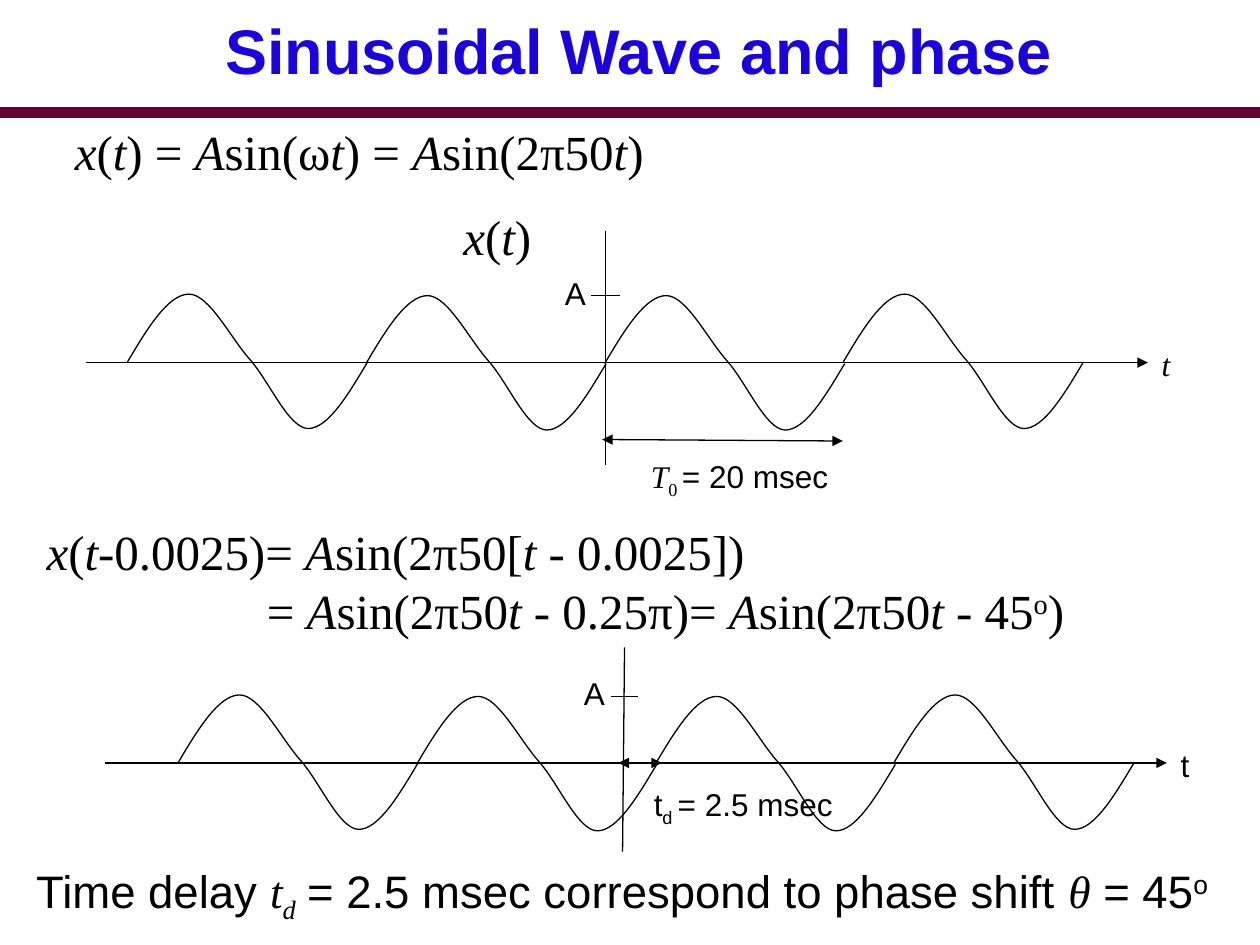
"""Build a slide relating the time delay of a sinusoidal wave to its phase shift."""
from lxml import etree
from pptx import Presentation
from pptx import util as u
from pptx.dml.color import RGBColor
from pptx.enum import shapes, text
from pptx.oxml.ns import qn

ARIAL, TIMES = "Arial", "Times New Roman"
BLACK, BLUE, MAROON = "000000", "1C03D7", "660033"

ITALIC = {"italic": True}
VARIABLE = {"italic": True, "name": TIMES}
SUB = {"baseline": -25000}
SUPER = {"baseline": 30000}

TITLE = ("Sinusoidal Wave and phase", (2.62, 0, 20.52, 1.88))
X, A, T = ("x", ITALIC), ("A", ITALIC), ("t", ITALIC)
T_SPACE = ("t ", ITALIC)

TEXTS = [
    ((1.26, 2.32, 12.24, 1.45), 28, TIMES, [
        [X, "(", T, ") = ", A, "sin(ω", T, ") = ", A, "sin(2π50", T, ")"]]),
    ((9.09, 4.03, 1.93, 1.45), 28, TIMES, [[X, "(", T, ")"]]),
    ((11.14, 5.39, 0.94, 1.02), 18, ARIAL, [["A"]]),
    ((23.17, 6.83, 0.69, 1.02), 18, TIMES, [[T]]),
    ((12.87, 9.09, 4.19, 1.02), 18, TIMES, [
        [("T", ITALIC), ("0 ", SUB), ("= 20 msec", {"name": ARIAL})]]),
    ((11.52, 13.46, 0.94, 1.02), 18, ARIAL, [["A"]]),
    ((23.55, 14.91, 0.69, 1.02), 18, ARIAL, [["t"]]),
    ((12.93, 15.7, 4.17, 1.02), 18, ARIAL, [
        ["t", ("d ", SUB), "= 2.5 msec"]]),
    ((0.69, 10.39, 21.44, 2.64), 28, TIMES, [
        [X, "(", T, "-0.0025)= ", A, "sin(2π50[", T_SPACE, "- 0.0025])"],
        ["= ", A, "sin(2π50", T_SPACE, "- 0.25π)= ", A, "sin(2π50", T_SPACE,
         "- 45", ("o", SUPER), ")"]]),
    ((0.48, 17.27, 24.54, 1.37), 26, ARIAL, [
        ["Time delay ", ("t", VARIABLE), ("d", {**VARIABLE, **SUB}), (" ", VARIABLE),
         "= 2.5 msec correspond to phase shift ", ("θ", VARIABLE),
         " = 45", ("o", SUPER)]]),
]
CONTINUATION_INDENT = 4.44

LINES = [
    ((12.21, 4.65), (12.21, 9.37), ()),
    ((1.73, 7.31), (22.66, 7.31), ()),
    ((12.49, 5.96), (11.91, 5.96), ()),
    ((22.12, 7.31), (23.14, 7.31), ("tailEnd",)),
    ((16.99, 8.89), (12.14, 8.86), ("headEnd", "tailEnd")),
    ((12.59, 13.05), (12.55, 17.17), ()),
    ((2.11, 15.38), (23.04, 15.38), ()),
    ((12.87, 14.04), (12.32, 14.04), ()),
    ((22.5, 15.38), (23.52, 15.38), ("tailEnd",)),
    ((13.34, 15.38), (12.47, 15.38), ("headEnd", "tailEnd")),
]

WAVE_STARTS = [(2.57, 7.3), (3.59, 15.38)]
PERIOD = 4.81
PERIOD_DROPS = [0, 0.03, 0.03, 0]
CYCLE = [
    (0, 0), (0.41, -0.7), (0.83, -1.37), (1.24, -1.37), (1.65, -1.37),
    (2.08, -0.48), (2.48, -0.04), (2.87, 0.41), (3.25, 1.33), (3.64, 1.34),
    (4.04, 1.34), (4.44, 0.67), (4.84, 0),
]


def color(value):
    return RGBColor.from_string(value)


def add_line(slide, begin, end, arrows=(), fill=BLACK, width=0.75):
    connector = slide.shapes.add_connector(
        shapes.MSO_CONNECTOR.STRAIGHT, *(u.Cm(value) for value in begin + end))
    connector.line.color.rgb = color(fill)
    connector.line.width = u.Pt(width)
    properties = connector._element.spPr
    for arrow in arrows:
        etree.SubElement(properties.find(qn("a:ln")), qn("a:" + arrow), type="triangle")
    etree.SubElement(properties, qn("a:effectLst"))


def curve_segments(shape):
    outline = shape._element.spPr.find(".//" + qn("a:path"))
    segments = outline.findall(qn("a:lnTo"))
    for first in range(0, len(segments), 3):
        curve = etree.SubElement(outline, qn("a:cubicBezTo"))
        for segment in segments[first:first + 3]:
            curve.append(segment[0])
            outline.remove(segment)


def add_cycle(slide, left, middle):
    start, *points = [(u.Cm(left + x), u.Cm(middle + y)) for x, y in CYCLE]
    builder = slide.shapes.build_freeform(*start)
    builder.add_line_segments(points, close=False)
    shape = builder.convert_to_shape()
    curve_segments(shape)
    shape.shadow.inherit = False
    shape.fill.background()
    shape.line.color.rgb = color(BLACK)
    shape.line.width = u.Pt(0.75)


def add_box(slide, box):
    return slide.shapes.add_textbox(*(u.Cm(value) for value in box)).text_frame


def set_font(font, size, name, fill):
    font.size, font.name = u.Pt(size), name
    font.color.rgb = color(fill)


def add_run(paragraph, part, size, name):
    words, style = (part, {}) if isinstance(part, str) else part
    run = paragraph.add_run()
    run.text = words
    set_font(run.font, size, style.get("name", name), BLACK)
    run.font.italic = style.get("italic", False)
    if "baseline" in style:
        run._r.get_or_add_rPr().set("baseline", str(style["baseline"]))


def add_text(slide, box, size, name, lines):
    frame = add_box(slide, box)
    frame.word_wrap = False
    for index, parts in enumerate(lines):
        paragraph = frame.add_paragraph() if index else frame.paragraphs[0]
        if index:
            paragraph._p.get_or_add_pPr().set("marL", str(u.Cm(CONTINUATION_INDENT)))
        for part in parts:
            add_run(paragraph, part, size, name)


def add_title(slide, words, box):
    frame = add_box(slide, box)
    frame.word_wrap = True
    frame.vertical_anchor = text.MSO_ANCHOR.BOTTOM
    paragraph = frame.paragraphs[0]
    paragraph.text = words
    paragraph.alignment = text.PP_ALIGN.CENTER
    set_font(paragraph.font, 36, ARIAL, BLUE)
    paragraph.font.bold = True


def main():
    presentation = Presentation()
    presentation.slide_width, presentation.slide_height = u.Cm(25.4), u.Cm(19.05)
    slide = presentation.slides.add_slide(presentation.slide_layouts[6])
    add_line(slide, (0, 2.27), (25.4, 2.27), fill=MAROON, width=6)
    add_title(slide, *TITLE)
    for line in LINES:
        add_line(slide, *line)
    for left, middle in WAVE_STARTS:
        for index, drop in enumerate(PERIOD_DROPS):
            add_cycle(slide, left + index * PERIOD, middle + drop)
    for entry in TEXTS:
        add_text(slide, *entry)
    presentation.save("out.pptx")


if __name__ == "__main__":
    main()
